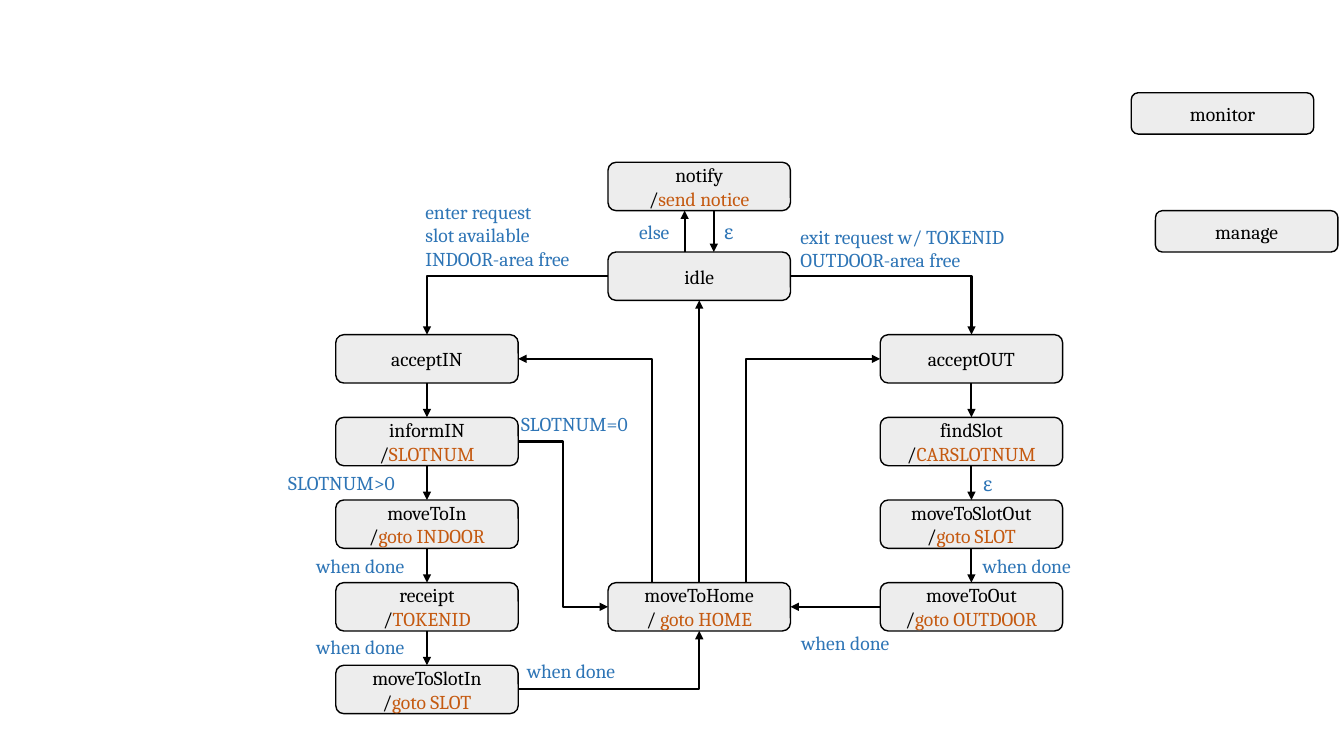
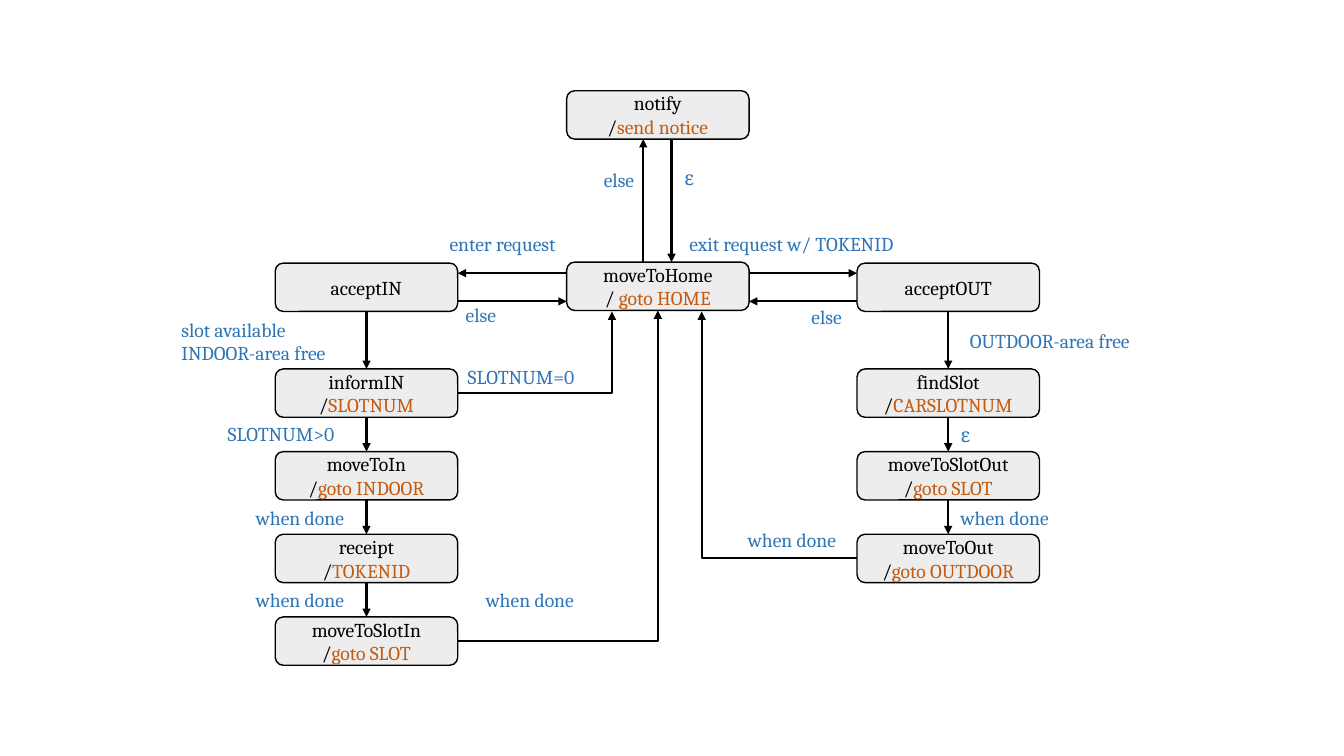
from itertools import pairwise

from lxml import etree
from pptx import Presentation
from pptx.dml.color import RGBColor
from pptx.enum import shapes, text
from pptx.oxml import ns
from pptx.util import Inches, Pt

COLORS = {"ink": "000000", "state": "EDEDED", "action": "C55A11", "label": "2E75B6"}
FONT = "Cambria"
STATE_WIDTH = 1.81
STATE_HEIGHT = 0.48
SITES = {"top": 0, "left": 1, "bottom": 2, "right": 3}
ENTER_STATES = ["acceptIN", "informIN", "moveToIn", "receipt", "moveToSlotIn"]
EXIT_STATES = ["acceptOUT", "findSlot", "moveToSlotOut", "moveToOut"]
ACTIONS = {
    "notify": ("/", "send notice"),
    "moveToHome": ("/ ", "goto HOME"),
    "informIN": ("/", "SLOTNUM"),
    "moveToIn": ("/", "goto INDOOR"),
    "receipt": ("/", "TOKENID"),
    "moveToSlotIn": ("/", "goto SLOT"),
    "findSlot": ("/", "CARSLOTNUM"),
    "moveToSlotOut": ("/", "goto SLOT"),
    "moveToOut": ("/", "goto OUTDOOR"),
}


def color(name):
    return RGBColor.from_string(COLORS[name])


def write(paragraph, content, tone="ink", size=14, align=text.PP_ALIGN.LEFT):
    paragraph.alignment = align
    run = paragraph.add_run()
    run.text = content
    run.font.name = FONT
    run.font.size = Pt(size)
    run.font.color.rgb = color(tone)


def add_state(slide, name, left, top, height=STATE_HEIGHT):
    shape = slide.shapes.add_shape(
        shapes.MSO_SHAPE.ROUNDED_RECTANGLE,
        Inches(left), Inches(top), Inches(STATE_WIDTH), Inches(height))
    shape.shadow.inherit = False
    shape.fill.solid()
    shape.fill.fore_color.rgb = color("state")
    shape.line.color.rgb = color("ink")
    shape.line.width = Pt(1)
    frame = shape.text_frame
    frame.word_wrap = True
    frame.vertical_anchor = text.MSO_ANCHOR.MIDDLE
    center = text.PP_ALIGN.CENTER
    write(frame.paragraphs[0], name, align=center)
    if name in ACTIONS:
        slash, action = ACTIONS[name]
        paragraph = frame.add_paragraph()
        write(paragraph, slash, align=center)
        write(paragraph, action, tone="action", align=center)
    return shape


def add_label(slide, lines, left, top, width):
    height = 0.1 + 0.24 * len(lines)
    box = slide.shapes.add_textbox(
        Inches(left), Inches(top), Inches(width), Inches(height))
    frame = box.text_frame
    frame.word_wrap = False
    frame.auto_size = text.MSO_AUTO_SIZE.SHAPE_TO_FIT_TEXT
    for index, line in enumerate(lines):
        paragraph = frame.add_paragraph() if index else frame.paragraphs[0]
        write(paragraph, line, tone="label")


def is_glued(end):
    return isinstance(end[1], str)


def add_arrow(slide, begin, end, preset="line", arrow="tailEnd"):
    kind = shapes.MSO_CONNECTOR.STRAIGHT if preset == "line" else shapes.MSO_CONNECTOR.ELBOW
    points = [(0, 0) if is_glued(place) else place for place in (begin, end)]
    connector = slide.shapes.add_connector(
        kind, *(Inches(value) for point in points for value in point))
    for place, glue in ((begin, connector.begin_connect), (end, connector.end_connect)):
        if is_glued(place):
            state, side = place
            glue(state, SITES[side])
    connector.line.color.rgb = color("ink")
    connector.line.width = Pt(1.5)
    properties = connector._element.spPr
    properties.find(ns.qn("a:prstGeom")).set("prst", preset)
    line = properties.find(ns.qn("a:ln"))
    etree.SubElement(line, ns.qn(f"a:{arrow}"), type="triangle")
    etree.SubElement(properties, ns.qn("a:effectLst"))


def add_corner(slide, begin, end, arrow="tailEnd"):
    add_arrow(slide, begin, end, preset="bentConnector2", arrow=arrow)


def add_column(slide, names, left, tops):
    states = {name: add_state(slide, name, left, top) for name, top in zip(names, tops)}
    for upper, lower in pairwise(states.values()):
        add_arrow(slide, (upper, "bottom"), (lower, "top"))
    return states


def add_labels(slide, labels):
    for lines, left, top, width in labels:
        add_label(slide, lines, left, top, width)


def add_notice_arrows(slide, lower, upper, up_x, down_x):
    add_arrow(slide, (up_x, lower), (up_x, upper))
    add_arrow(slide, (down_x, upper), (down_x, lower))


def build_idle_machine(slide):
    tops = [3.32 + 0.82 * row for row in range(len(ENTER_STATES))]
    states = add_column(slide, ENTER_STATES, 3.33, tops)
    states |= add_column(slide, EXIT_STATES, 8.73, tops)
    for name, top in (("notify", 1.61), ("idle", 2.5), ("moveToHome", tops[3])):
        states[name] = add_state(slide, name, 6.03, top)
    add_state(slide, "monitor", 11.22, 0.92, height=0.41)
    add_state(slide, "manage", 11.46, 2.09, height=0.41)

    home, idle = states["moveToHome"], states["idle"]
    add_corner(slide, (states["moveToSlotIn"], "right"), (home, "bottom"))
    add_corner(slide, (idle, "right"), (states["acceptOUT"], "top"))
    add_corner(slide, (idle, "left"), (states["acceptIN"], "top"))
    add_corner(slide, (states["acceptOUT"], "left"), (7.4, 5.78), arrow="headEnd")
    add_corner(slide, (states["acceptIN"], "right"), (6.47, 5.78), arrow="headEnd")
    add_arrow(slide, (states["informIN"], "right"), (home, "left"), preset="bentConnector3")
    add_arrow(slide, (states["moveToOut"], "left"), (home, "right"))
    add_arrow(slide, (home, "top"), (idle, "bottom"))
    add_notice_arrows(slide, 2.5, 2.09, 6.79, 7.08)

    add_labels(slide, [
        (["SLOTNUM>0"], 2.76, 4.62, 1.47),
        (["SLOTNUM=0"], 5.07, 4.04, 1.47),
        (["enter request", "slot available", "INDOOR-area free"], 4.12, 1.93, 1.91),
        (["exit request w/ TOKENID", "OUTDOOR-area free"], 7.84, 2.18, 2.57),
        (["else"], 6.24, 2.13, 0.55),
        (["ε"], 7.08, 2.13, 0.29),
        (["when done"], 3.04, 5.45, 1.17),
        (["when done"], 3.04, 6.25, 1.17),
        (["when done"], 5.13, 6.49, 1.17),
        (["ε"], 9.65, 4.63, 0.29),
        (["when done"], 9.65, 5.45, 1.17),
        (["when done"], 7.85, 6.21, 1.17),
    ])


def build_home_machine(slide):
    tops = [2.61] + [3.66 + 0.82 * row for row in range(len(ENTER_STATES) - 1)]
    states = add_column(slide, ENTER_STATES, 2.73, tops)
    states |= add_column(slide, EXIT_STATES, 8.5, tops)
    for name, top in (("notify", 0.9), ("moveToHome", 2.6)):
        states[name] = add_state(slide, name, 5.62, top)

    add_corner(slide, (states["moveToOut"], "left"), (6.96, 3.09))
    add_corner(slide, (states["informIN"], "right"), (6.07, 3.09))
    add_corner(slide, (states["moveToSlotIn"], "right"), (states["moveToHome"], "bottom"))
    for home_x, accept_x in ((5.62, 4.54), (7.43, 8.5)):
        add_arrow(slide, (home_x, 2.71), (accept_x, 2.71))
        add_arrow(slide, (accept_x, 2.99), (home_x, 2.99))
    add_notice_arrows(slide, 2.6, 1.38, 6.38, 6.66)

    add_labels(slide, [
        (["SLOTNUM>0"], 2.16, 4.14, 1.47),
        (["SLOTNUM=0"], 4.54, 3.57, 1.47),
        (["slot available", "INDOOR-area free"], 1.7, 3.1, 1.91),
        (["exit request w/ TOKENID"], 6.74, 2.25, 2.57),
        (["else"], 5.89, 1.62, 0.55),
        (["ε"], 6.69, 1.6, 0.29),
        (["when done"], 2.44, 4.97, 1.17),
        (["when done"], 2.44, 5.78, 1.17),
        (["when done"], 4.72, 5.78, 1.17),
        (["ε"], 9.43, 4.15, 0.29),
        (["when done"], 9.43, 4.97, 1.17),
        (["when done"], 7.32, 5.19, 1.17),
        (["enter request"], 4.36, 2.25, 1.42),
        (["OUTDOOR-area free"], 9.52, 3.21, 2.12),
        (["else"], 4.52, 2.96, 0.55),
        (["else"], 7.95, 2.98, 0.55),
    ])


def main():
    presentation = Presentation()
    presentation.slide_width = Inches(13.33)
    presentation.slide_height = Inches(7.5)
    blank = presentation.slide_layouts[6]
    for build in (build_idle_machine, build_home_machine):
        build(presentation.slides.add_slide(blank))
    presentation.save("out.pptx")


if __name__ == "__main__":
    main()
